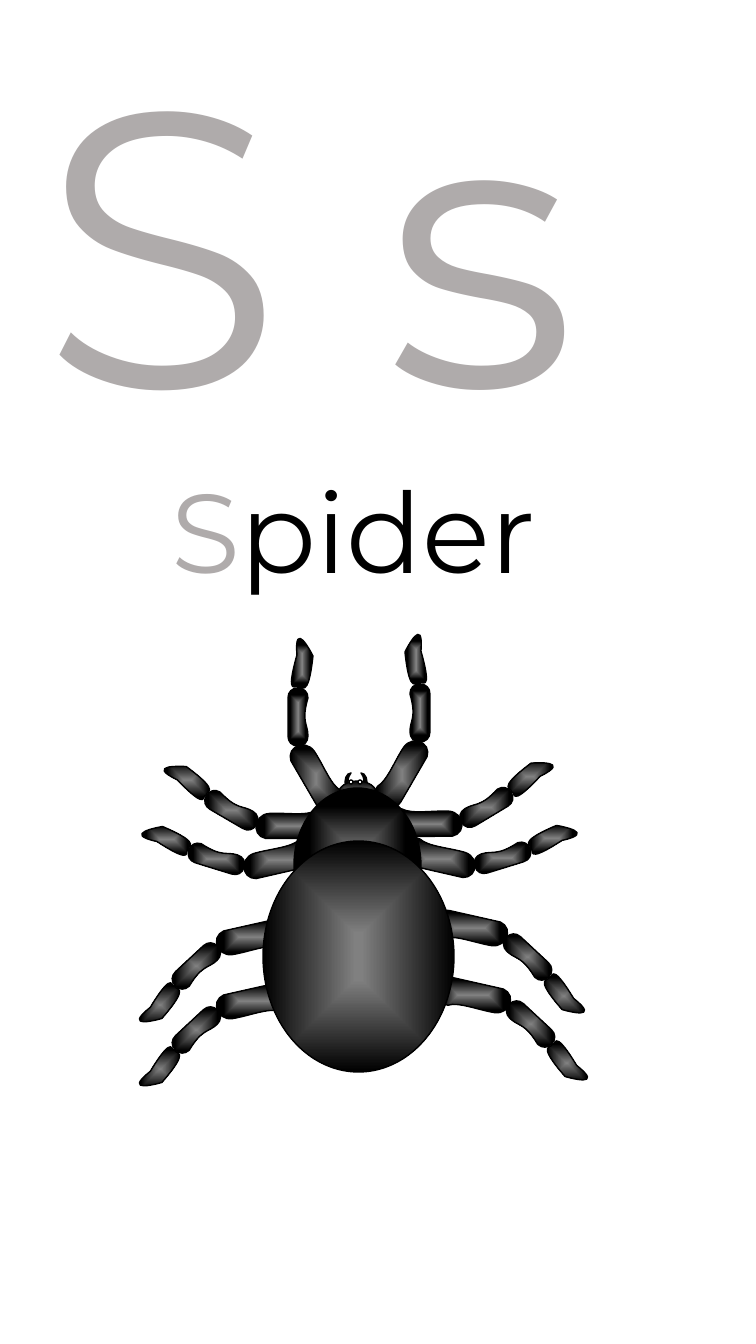
from math import cos, radians, sin

from lxml import etree
from pptx import Presentation
from pptx import util as u
from pptx.dml.color import RGBColor
from pptx.enum import shapes, text
from pptx.oxml.ns import qn

PX = 914400 / 100.8
FONT, GREY, BLACK, WHITE = "Montserrat", "AFABAB", "000000", "FFFFFF"
SHEEN = "808080"

# Text boxes: (left, top, width, height), size, runs of (words, colour, outlined)
TEXTS = [
    ((32, -8, 799, 502), 280, [("S s", GREY, True)]),
    ((162, 457, 510, 165), 80, [("S", GREY, True), ("pider", BLACK, False)]),
]

# Body parts: preset, box, rotation, fill (colour or gradient stop positions)
OVAL, MOON = shapes.MSO_SHAPE.OVAL, shapes.MSO_SHAPE.MOON
HEAD = [
    (MOON, (345, 773, 6, 18), 0, BLACK),
    (MOON, (361, 773, 6, 18), 180, BLACK),
    (OVAL, (338, 781, 39, 27), 0, (0, 1)),
]
TRUNK = [
    (OVAL, (294, 788, 127, 154), 0, (0, 0.76)),
    (OVAL, (263, 841, 191, 231), 0, (0.03, 1)),
    (OVAL, (349, 780, 4, 4), 0, WHITE),
    (OVAL, (358, 780, 4, 4), 0, WHITE),
]

# Leg segments: centre from the thigh, turn, size, start point, Bezier curves
SEGMENTS = [
    ((0, 0), -33.8, (28, 76), (-11, -24), [
        ((-12, -31), (-7, -38), (0, -38)), ((8, -38), (14, -32), (14, -24)),
        ((14, -8), (9, 13), (14, 23)), ((14, 31), (8, 38), (0, 38)),
        ((-8, 38), (-14, 32), (-14, 23))]),
    ((-18, -62), 0, (20, 58), (-10, -19), [
        ((-10, -25), (-6, -29), (0, -29)), ((6, -29), (10, -25), (10, -19)),
        ((3, 5), (10, 7), (10, 19)), ((10, 25), (6, 29), (0, 29)),
        ((-6, 29), (-10, 25), (-10, 19))]),
    ((-14, -115), 0, (22, 50), (-5, -9), [
        ((-8, -45), (9, -12), (11, -8)), ((6, 39), (-1, 19), (-4, 24)),
        ((-4, 18), (-18, 37), (-5, -9))]),
]

# Legs: thigh centre, turn of the whole leg, mirror in x and y
LEGS = [
    ((316, 779), 0, 1, 1), ((402, 775), 0, -1, 1),
    ((424, 824), 59, -1, 1), ((294, 826), -59.7, 1, 1),
    ((281, 860), -72.8, 1, 1), ((438, 859), 72.8, -1, 1),
    ((473, 995), -47.1, -1, -1), ((254, 1001), 47.1, 1, -1),
    ((254, 937), 47.1, 1, -1), ((470, 928), -47.1, -1, -1),
]


def emu(*lengths):
    return [round(n * PX) for n in lengths]


def rgb(colour):
    return RGBColor.from_string(colour)


def add_text(slide, box, size, runs):
    tf = slide.shapes.add_textbox(*emu(*box)).text_frame
    tf.word_wrap = True
    tf.auto_size = text.MSO_AUTO_SIZE.SHAPE_TO_FIT_TEXT
    p = tf.paragraphs[0]
    p.font.size, p.font.name = u.Pt(size), FONT
    for words, colour, outlined in runs:
        r = p.add_run()
        r.text = words
        r.font.color.rgb = rgb(colour)
        if outlined:
            ln = etree.Element(qn("a:ln"), w=str(u.Pt(0.75)))
            solid = etree.SubElement(ln, qn("a:solidFill"))
            etree.SubElement(solid, qn("a:srgbClr"), val=BLACK)
            r.font._element.insert(0, ln)


def paint(sp, fill):
    sp.shadow.inherit = False
    sp.line.color.rgb, sp.line.width = rgb(BLACK), u.Pt(1)
    if isinstance(fill, str):
        sp.fill.solid()
        sp.fill.fore_color.rgb = rgb(fill)
        return
    sp.fill.gradient()
    for stop, position, colour in zip(sp.fill.gradient_stops, fill, (SHEEN, BLACK)):
        stop.position, stop.color.rgb = position, rgb(colour)
    # Turn the linear gradient into one that follows the shape
    lin = sp._element.spPr.find(".//" + qn("a:lin"))
    shade = etree.Element(qn("a:path"), path="shape")
    etree.SubElement(shade, qn("a:fillToRect"), l="50000", t="50000", r="50000", b="50000")
    lin.getparent().replace(lin, shade)


def add_parts(group, parts):
    for preset, box, turn, fill in parts:
        sp = group.shapes.add_shape(preset, *emu(*box))
        sp.rotation = turn
        paint(sp, fill)


def add_segment(group, cx, cy, size, start, curves, mx, my):
    w, h = size
    left, top = cx - w / 2, cy - h / 2
    builder = group.shapes.build_freeform(*emu(left, top))
    builder.add_line_segments([emu(left + w, top), emu(left + w, top + h),
                               emu(left, top + h)])
    sp = builder.convert_to_shape()

    # Draw the curved outline inside the box, in px
    outline = sp._element.spPr.find(".//" + qn("a:path"))
    for child in list(outline):
        outline.remove(child)
    outline.set("w", str(w))
    outline.set("h", str(h))
    for tag, points in [("a:moveTo", [start])] + [("a:cubicBezTo", c) for c in curves]:
        step = etree.SubElement(outline, qn(tag))
        for x, y in points:
            etree.SubElement(step, qn("a:pt"), x=str(w // 2 + x * mx), y=str(h // 2 + y * my))
    etree.SubElement(outline, qn("a:close"))
    return sp


def add_leg(group, thigh, turn, mx, my):
    a = radians(turn)
    for (dx, dy), bend, size, start, curves in SEGMENTS:
        dx, dy = dx * mx, dy * my
        cx = thigh[0] + dx * cos(a) - dy * sin(a)
        cy = thigh[1] + dx * sin(a) + dy * cos(a)
        sp = add_segment(group, cx, cy, size, start, curves, mx, my)
        sp.rotation = (turn + bend * mx * my) % 360
        paint(sp, (0, 0.76))


def main():
    prs = Presentation()
    prs.slide_width, prs.slide_height = emu(756, 1344)
    slide = prs.slides.add_slide(prs.slide_layouts[6])

    # Letters and word
    for item in TEXTS:
        add_text(slide, *item)

    # Spider, from back to front
    spider = slide.shapes.add_group_shape()
    add_parts(spider, HEAD)
    for leg in LEGS:
        add_leg(spider, *leg)
    add_parts(spider, TRUNK)

    prs.save("out.pptx")


if __name__ == "__main__":
    main()
